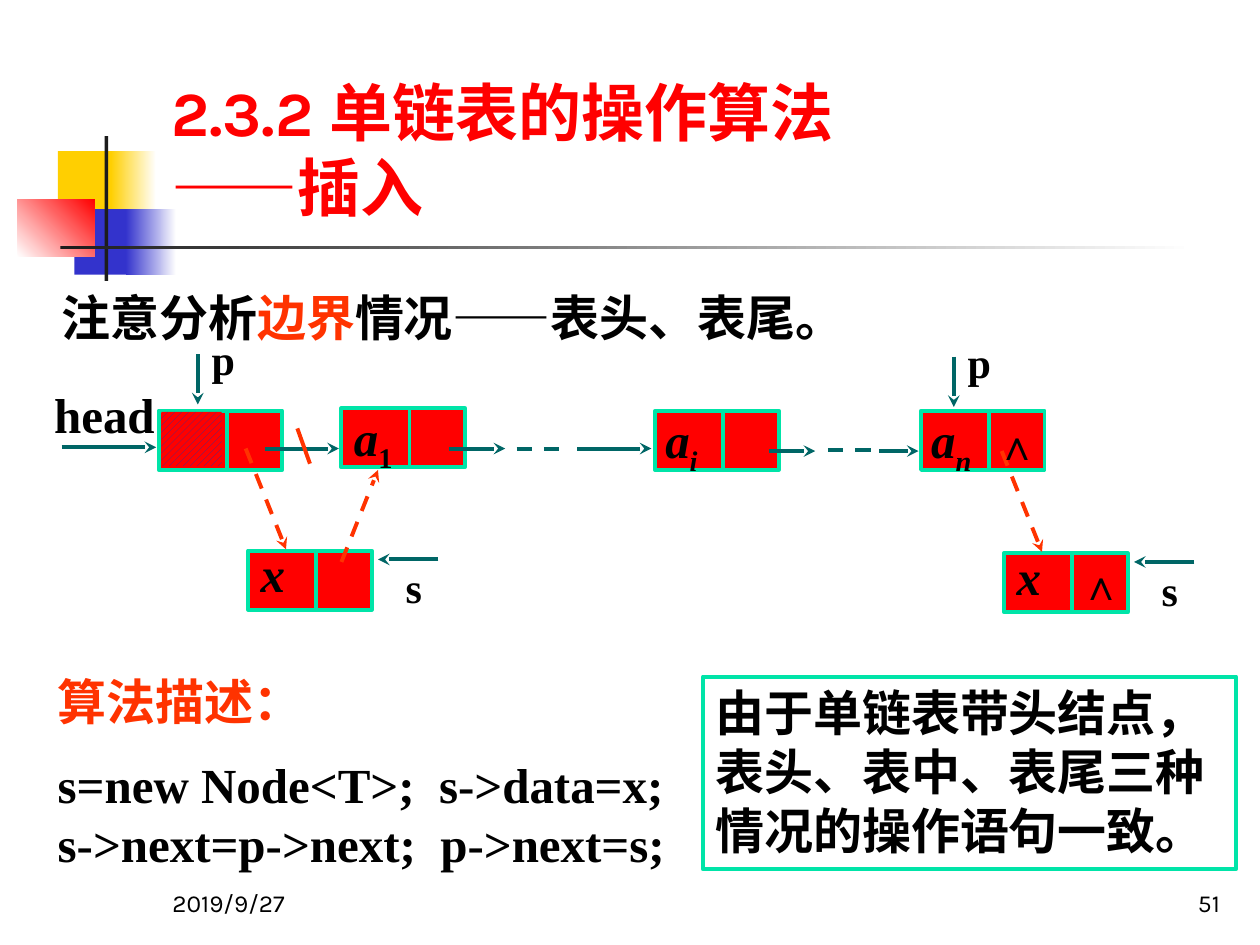
from lxml import etree
from pptx import Presentation
from pptx.dml.color import RGBColor
from pptx.enum import dml, shapes, text
from pptx.oxml.ns import qn
from pptx.util import Inches, Pt

BLACK, INK = RGBColor(0, 0, 0), RGBColor(0x1C, 0x1C, 0x1C)
WHITE, RED = RGBColor(255, 255, 255), RGBColor(255, 0, 0)
ORANGE, TEAL = RGBColor(0xFF, 0x33, 0), RGBColor(0, 0x66, 0x66)
MINT, YELLOW = RGBColor(0, 0xE4, 0xA8), RGBColor(0xFF, 0xCF, 0x01)
BLUE, NAVY = RGBColor(0x33, 0x33, 0xCC), RGBColor(0x33, 0x33, 0x99)
SERIF, SANS, CJK = "Times New Roman", "Karla", "Noto Sans CJK SC"
LEFT, RIGHT = text.PP_ALIGN.LEFT, text.PP_ALIGN.RIGHT
CENTER, JUSTIFY = text.PP_ALIGN.CENTER, text.PP_ALIGN.JUSTIFY
TOP, BOTTOM = text.MSO_ANCHOR.TOP, text.MSO_ANCHOR.BOTTOM
PLAIN = (0.1, 0.05, 0.1, 0.05)
NONE = (0, 0, 0, 0)

# Content: a paragraph is a list of (words, format) runs
TITLE = [[("2.3.2 单链表的操作算法", {})],
         [("——", {"name": "Arial"}), ("插入", {})]]
NOTICE = [[("注意分析", {}), ("边界", {"color": ORANGE}),
           ("情况——表头、表尾。", {})]]
ALGORITHM = [[("算法描述：", {"color": ORANGE})],
             [("s=new Node<T>;  s->data=x;", {})],
             [("s->next=p->next;  p->next=s;", {})]]
CONCLUSION = [[("由于单链表带头结点，表头、表中、表尾三种情况的操作语句一致。", {})]]
FOOTER = [("2019/9/27", 1.27, LEFT), ("51", 7.7, RIGHT)]

# Bars of the corner ornament: place, colours, gradient angle
ORNAMENT = [((0.46, 1.2, 0.48, 0.52), (YELLOW,), 0),
            ((0.88, 1.2, 0.36, 0.52), (YELLOW, WHITE), 0),
            ((0.59, 1.66, 0.46, 0.52), (BLUE,), 0),
            ((1, 1.66, 0.4, 0.52), (BLUE, WHITE), 0),
            ((0.14, 1.58, 0.61, 0.46), (WHITE, RED), 45),
            ((0.83, 1.08, 0.03, 1.15), (INK,), 0),
            ((0.48, 1.95, 9, 0.03), (INK, WHITE), 0)]

# List nodes: x, y, letter, subscript, subscript slanted, left inset
NODE_W, NODE_H, SPLIT = 0.98, 0.47, 0.54
NODES = [(1.26, 3.26, "", "", True, 0.1), (2.71, 3.24, "a", "1", False, 0.1),
         (5.2, 3.26, "a", "i", True, 0.08), (7.31, 3.26, "a", "n", True, 0.08)]
# Links along the list: start x, end x, y, dashed
LINKS = [(0.49, 1.24, 3.55, False), (2.1, 2.69, 3.56, False),
         (3.56, 4.01, 3.56, False), (4.1, 4.44, 3.56, True),
         (4.58, 5.17, 3.56, False), (6.1, 6.47, 3.58, False),
         (6.57, 6.92, 3.57, True), (6.98, 7.29, 3.58, False)]
# Insertions: shift from the first one
INSERTIONS = [(0, 0), (6, 0.02)]
NULLS = [(7.81, 3.27), (8.48, 4.38)]

prs = Presentation()
prs.slide_width, prs.slide_height = Inches(10), Inches(7.5)
s = prs.slides.add_slide(prs.slide_layouts[6])


def write(sp, paras, size=28, name=SERIF, color=BLACK, bold=True, align=LEFT,
          anchor=TOP, inset=PLAIN, spacing=None, before=()):
    tf = sp.text_frame
    settings = dict(zip(("margin_left", "margin_top", "margin_right", "margin_bottom"),
                        map(Inches, inset)), word_wrap=True, vertical_anchor=anchor)
    for key, value in settings.items():
        setattr(tf, key, value)
    for i, runs in enumerate(paras):
        p = tf.paragraphs[0] if i == 0 else tf.add_paragraph()
        p.alignment, p.line_spacing = align, spacing
        if i in before:
            p.space_before = Pt(size / 2)
        for words, extra in runs:
            r = p.add_run()
            r.text = words
            look = {"size": Pt(size), "name": name, "bold": bold, "color": color, **extra}
            r.font.color.rgb = look.pop("color")
            base = look.pop("baseline", None)
            for key, value in look.items():
                setattr(r.font, key, value)
            rPr = r._r.get_or_add_rPr()
            if base:
                rPr.set("baseline", str(base))
            etree.SubElement(rPr, qn("a:ea")).set("typeface", CJK)


def label(at, paras, **style):
    sp = s.shapes.add_textbox(*map(Inches, at))
    write(sp, paras, **style)


def rect(at, fill=None, line=None):
    sp = s.shapes.add_shape(shapes.MSO_SHAPE.RECTANGLE, *map(Inches, at))
    sp.shadow.inherit = False
    if fill:
        sp.fill.solid()
        sp.fill.fore_color.rgb = fill
    else:
        sp.fill.background()
    if line:
        sp.line.color.rgb, sp.line.width = line, Pt(2.25)
    else:
        sp.line.fill.background()
    return sp


def line(x1, y1, x2, y2, color=TEAL, dash=False, arrow=True):
    c = s.shapes.add_connector(shapes.MSO_CONNECTOR.STRAIGHT,
                               *map(Inches, (x1, y1, x2, y2)))
    c.line.color.rgb, c.line.width = color, Pt(2.25)
    if dash:
        c.line.dash_style = dml.MSO_LINE.DASH
    if arrow:
        etree.SubElement(c.line._get_or_add_ln(), qn("a:tailEnd")).set("type", "stealth")
    etree.SubElement(c._element.spPr, qn("a:effectLst"))


def node(x, y, letter="", sub="", slanted=True, left=0.1):
    sp = rect((x, y, NODE_W, NODE_H), RED, MINT)
    if letter:
        runs = [(letter, {"italic": True})]
        if sub:
            runs.append((sub, {"italic": slanted, "baseline": -25000}))
        write(sp, [runs], inset=(left, 0, 0, 0.08), spacing=0.9)
    line(x + SPLIT, y, x + SPLIT, y + NODE_H, MINT, arrow=False)


# Corner ornament and title
for at, colors, angle in ORNAMENT:
    sp = rect(at, colors[0])
    if len(colors) > 1:
        sp.fill.gradient()
        sp.fill.gradient_angle = angle
        for stop, color, place in zip(sp.fill.gradient_stops, colors, (0, 1)):
            stop.color.rgb, stop.position = color, place
label((1.26, 0.23, 8.52, 1.6), TITLE, size=36, name=SANS, color=RED, anchor=BOTTOM)
label((0.39, 2.23, 8.83, 0.57), NOTICE)

# The list
label((0.43, 3.05, 0.83, 0.51), [[("head", {})]], inset=(0, 0, 0, 0.04))
for n in NODES:
    node(*n)
hatch = rect((1.28, 3.27, 0.48, 0.43), RED)
hatch.fill.patterned()
hatch.fill.pattern = dml.MSO_PATTERN.WIDE_UPWARD_DIAGONAL
hatch.fill.fore_color.rgb, hatch.fill.back_color.rgb = NAVY, RED
for x1, x2, y, dashed in LINKS:
    line(x1, y, x2, y, dash=dashed, arrow=not dashed)

# Insertions at the head and at the tail
for dx, dy in INSERTIONS:
    line(1.57 + dx, 2.81 + dy, 1.57 + dx, 3.21 + dy)
    node(1.97 + dx, 4.37 + dy, "x")
    line(3.48 + dx, 4.44 + dy, 3 + dx, 4.44 + dy)
    line(1.95 + dx, 3.56 + dy, 2.27 + dx, 4.36 + dy, ORANGE, dash=True)
    for name, x, y in (("p", 1.68, 2.65), ("s", 3.22, 4.46)):
        label((x + dx, y + dy, 0.27, 0.4), [[(name, {})]], size=24, inset=NONE)
line(2.71, 4.46, 3, 3.73, ORANGE, dash=True)
line(2.36, 3.4, 2.46, 3.68, ORANGE, arrow=False)
for x, y in NULLS:
    label((x, y, 0.49, 0.5), [[("∧", {})]], size=24, align=CENTER)

# Algorithm, conclusion and footer
label((0.36, 5.28, 5.57, 1.74), ALGORITHM, align=JUSTIFY, before=(1,))
write(rect((5.58, 5.37, 4.23, 1.53), line=MINT), CONCLUSION, name=CJK)
for words, x, align in FOOTER:
    label((x, 6.83, 2.08, 0.5), [[(words, {})]], size=14, name=SANS, bold=False,
          align=align, anchor=BOTTOM)

prs.save("out.pptx")
